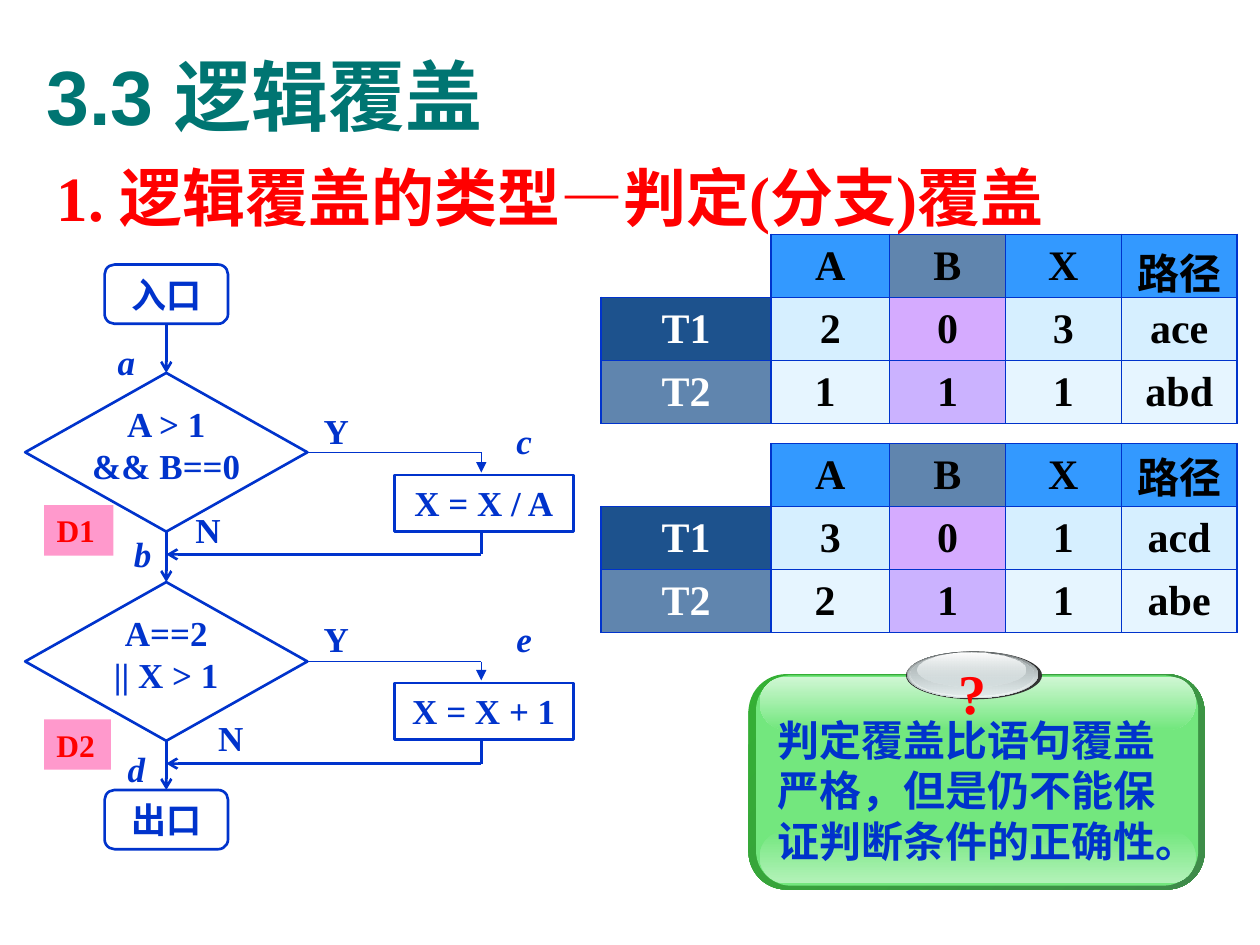
"""Builds a slide on decision coverage: flowchart, two test tables and a callout."""
from lxml import etree
from pptx import Presentation
from pptx.dml.color import RGBColor
from pptx.enum.shapes import MSO_CONNECTOR, MSO_SHAPE
from pptx.enum.text import MSO_ANCHOR, PP_ALIGN
from pptx.oxml.ns import qn
from pptx.util import Pt

PX = 9144
STRAIGHT = MSO_CONNECTOR.STRAIGHT
ROUND, OVAL, RECT = MSO_SHAPE.ROUNDED_RECTANGLE, MSO_SHAPE.OVAL, MSO_SHAPE.RECTANGLE
TERMINAL, DECISION = MSO_SHAPE.FLOWCHART_ALTERNATE_PROCESS, MSO_SHAPE.FLOWCHART_DECISION
LEFT, CENTER, RIGHT, JUSTIFY = PP_ALIGN.LEFT, PP_ALIGN.CENTER, PP_ALIGN.RIGHT, PP_ALIGN.JUSTIFY
TOP, MIDDLE = MSO_ANCHOR.TOP, MSO_ANCHOR.MIDDLE
SERIF, SANS = "Times New Roman", "Arial"
COLORS = {"teal": "007572", "red": "FF0000", "blue": "0033CC", "black": "000000",
          "white": "FFFFFF", "pink": "FF99CC", "sky": "3399FF", "navy": "1D528D",
          "ice": "CCECFF", "lilac": "CC99FF", "violet": "9966FF"}

TITLE = "3.3 逻辑覆盖"
HEADING = [("1. ", SERIF), ("逻辑覆盖的类型", SANS), ("—", SERIF), ("判定", SANS),
           ("(", SERIF), ("分支", SANS), (")", SERIF), ("覆盖", SANS)]
HEADER = ["", "A", "B", "X", "路径"]
TABLES = [
    (186, 5, [HEADER, ["T1", "2", "0", "3", "ace"], ["T2", "1 ", "1", "1", "abd"]]),
    (352, 0, [HEADER, ["T1", "3", "0", "1", "acd"], ["T2", "2 ", "1", "1", "abe"]]),
]
TABLE_LEFT, COLUMNS, ROW_HEIGHT = 477, [135, 94, 92, 92, 92], 50
SKY, STEEL, ICE, FROST = ("sky", 100), ("navy", 70), ("ice", 80), ("ice", 48)
CELL_FILLS = [[None, SKY, STEEL, SKY, SKY],
              [("navy", 100), ICE, ("lilac", 82), ICE, ICE],
              [STEEL, FROST, ("violet", 50), FROST, FROST]]

GREEN_PANEL = [
    ((594, 535, 362, 171), 0.175, [("34B034", 100), ("3F8B4A", 100)], 45),
    ((600, 536, 351, 167), 0.167, [("73E77E", 100)], 0),
    ((603, 659, 346, 42), 0.5, [("73E77E", 100), ("B3F2B9", 100)], 90),
    ((603, 537, 346, 42), 0.5, [("D0F7D4", 100), ("73E77E", 100)], 90),
]
SILVER_BUTTON = [
    ((719, 517, 108, 38), [("333333", 100)]),
    ((720, 517, 104, 37), [("636869", 100), ("D6E1E2", 100)]),
    ((721, 517, 102, 36), [("D6E1E2", 0), ("F1F5F5", 100)]),
    ((723, 518, 97, 34), [("AAB2B3", 100), ("D6E1E2", 48)]),
    ((728, 518, 86, 27), [("FFFFFF", 100), ("D6E1E2", 38)]),
]
CONCLUSION = "判定覆盖比语句覆盖严格，但是仍不能保证判断条件的正确性。"

TERMINALS = [("入口", 210), ("出口", 627)]
BRANCHES = [
    ("A > 1\n&& B==0", 296, "X = X / A", 377, 440),
    ("A==2\n|| X > 1", 462, "X = X + 1", 542, 606),
]
MAIN_X, RETURN_X = 132, 382
LABELS = [("a", 75, 265), ("b", 88, 418), ("c", 390, 328), ("d", 83, 588), ("e", 390, 485),
          ("N", 143, 399), ("N", 161, 564)]
YES_LABELS = [320, 485]
TAGS = [("D1", 401, 55), ("D2", 571, 53)]


def rgb(color):
    return RGBColor.from_string(COLORS.get(color, color))


def px(*lengths):
    return [length * PX for length in lengths]


def set_alphas(properties, alphas):
    for color, alpha in zip(properties.iter(qn("a:srgbClr")), alphas):
        if alpha < 100:
            etree.SubElement(color, qn("a:alpha"), val=str(alpha * 1000))


def write(frame, text, size, color, align=CENTER, anchor=TOP, font=SERIF, italic=False, wrap=True):
    frame.text = text
    frame.word_wrap = wrap
    frame.vertical_anchor = anchor
    for paragraph in frame.paragraphs:
        paragraph.alignment = align
        style_run(paragraph.runs[0], size, color, font, italic)


def style_run(run, size, color, font=SERIF, italic=False):
    run.font.size, run.font.name = Pt(size), font
    run.font.bold, run.font.italic = True, italic
    run.font.color.rgb = rgb(color)


def add_text(shapes, box, *args, **options):
    write(shapes.add_textbox(*px(*box)).text_frame, *args, **options)


def add_block(shapes, kind, box, stops=(), angle=90, outlined=False):
    block = shapes.add_shape(kind, *px(*box))
    block.shadow.inherit = False
    if len(stops) == 2:
        block.fill.gradient()
        block.fill.gradient_angle = 360 - angle
        for stop, (color, _) in zip(block.fill.gradient_stops, stops):
            stop.color.rgb = rgb(color)
    elif stops:
        block.fill.solid()
        block.fill.fore_color.rgb = rgb(stops[0][0])
    else:
        block.fill.background()
    set_alphas(block._element.spPr, [alpha for _, alpha in stops])
    if outlined:
        block.line.color.rgb = rgb("blue")
        block.line.width = Pt(1.5)
    else:
        block.line.fill.background()
    return block


def add_line(shapes, start, end, width=1.5, tail=None, source=None, target=None):
    line = shapes.add_connector(STRAIGHT, *px(*start, *end))
    if source:
        line.begin_connect(*source)
    if target:
        line.end_connect(*target)
    line.line.color.rgb = rgb("blue")
    line.line.width = Pt(width)
    if tail:
        etree.SubElement(line.line._get_or_add_ln(), qn("a:tailEnd"), type=tail)
    etree.SubElement(line._element.spPr, qn("a:effectLst"))


def set_borders(cell, visible):
    properties = cell._tc.get_or_add_tcPr()
    for index, side in enumerate("LRTB"):
        border = etree.Element(qn(f"a:ln{side}"), w=str(Pt(1)))
        if side in visible:
            fill = etree.SubElement(border, qn("a:solidFill"))
            etree.SubElement(fill, qn("a:srgbClr"), val=COLORS["blue"])
        else:
            etree.SubElement(border, qn("a:noFill"))
        properties.insert(index, border)


def add_test_table(shapes, top, margin, rows):
    box = (TABLE_LEFT, top, sum(COLUMNS), ROW_HEIGHT * len(rows))
    table = shapes.add_table(len(rows), len(COLUMNS), *px(*box)).table
    table.first_row = table.horz_banding = False
    for column, width in zip(table.columns, px(*COLUMNS)):
        column.width = width
    for r, (row, fills) in enumerate(zip(rows, CELL_FILLS)):
        table.rows[r].height = ROW_HEIGHT * PX
        for c, (text, fill) in enumerate(zip(row, fills)):
            cell = table.cell(r, c)
            cell.margin_top = cell.margin_bottom = margin * PX
            if fill:
                write(cell.text_frame, text, 24, "black" if c else "white")
                cell.vertical_anchor = MIDDLE
                cell.fill.solid()
                cell.fill.fore_color.rgb = rgb(fill[0])
                set_alphas(cell._tc.tcPr, [fill[1]])
            else:
                cell.fill.background()
            set_borders(cell, "LRTB" if fill else "RB")


def add_callout(shapes):
    for box, radius, stops, angle in GREEN_PANEL:
        add_block(shapes, ROUND, box, stops, angle).adjustments[0] = radius
    for box, stops in SILVER_BUTTON:
        add_block(shapes, OVAL, box, stops)
    add_text(shapes, (751, 518, 42, 63), "?", 32, "red", wrap=False)
    add_text(shapes, (607, 562, 344, 130), CONCLUSION, 24, "blue", LEFT)


def add_flowchart(shapes):
    steps = []
    for text, top in TERMINALS:
        terminal = add_block(shapes, TERMINAL, (83, top, 98, 47), outlined=True)
        write(terminal.text_frame, text, 20, "blue", anchor=MIDDLE, wrap=False)
        steps.append(terminal)
    for condition, top, action, action_top, return_y in BRANCHES:
        decision = add_block(shapes, DECISION, (20, top, 224, 126), outlined=True)
        frame = decision.text_frame
        write(frame, condition, 20, "blue", anchor=MIDDLE, wrap=False)
        frame.margin_left, frame.margin_top, frame.margin_right, frame.margin_bottom = px(2, 1, 2, 13)
        steps.insert(-1, decision)
        process = add_block(shapes, RECT, (313, action_top, 142, 45), outlined=True)
        write(process.text_frame, action, 20, "blue")
        yes_y = top + 63
        add_line(shapes, (244, yes_y), (RETURN_X, yes_y), 0.75, source=(decision, 3))
        add_line(shapes, (RETURN_X, yes_y), (RETURN_X, action_top - 2), 0.75, "triangle")
        add_line(shapes, (RETURN_X, action_top + 45), (RETURN_X, return_y))
        add_line(shapes, (RETURN_X, return_y), (MAIN_X, return_y), tail="arrow")
    for upper, lower in zip(steps, steps[1:]):
        add_line(shapes, (0, 0), (0, 0), tail="arrow", source=(upper, 2), target=(lower, 0))
    for text, left, top in LABELS:
        add_text(shapes, (left, top, 42, 43), text, 20, "blue", RIGHT, italic=text.islower())
    for top in YES_LABELS:
        add_text(shapes, (238, top, 58, 43), "Y", 20, "blue")
    for text, top, width in TAGS:
        tag = add_block(shapes, RECT, (35, top, width, 40), [("pink", 100)])
        write(tag.text_frame, text, 18, "red", LEFT)


def add_heading(shapes):
    frame = shapes.add_textbox(*px(35, 115, 921, 87)).text_frame
    frame.word_wrap = True
    heading = frame.paragraphs[0]
    heading.alignment, heading.line_spacing = JUSTIFY, 1.1
    indent = heading._p.get_or_add_pPr()
    indent.set("marL", str(67 * PX))
    indent.set("indent", str(-67 * PX))
    for text, font in HEADING:
        run = heading.add_run()
        run.text = text
        style_run(run, 36, "red", font)


def main():
    deck = Presentation()
    deck.slide_width, deck.slide_height = px(1000, 750)
    shapes = deck.slides.add_slide(deck.slide_layouts[6]).shapes
    add_text(shapes, (27, 13, 934, 125), TITLE, 44, "teal", LEFT, MIDDLE, SANS)
    add_heading(shapes)
    for top, margin, rows in TABLES:
        add_test_table(shapes, top, margin, rows)
    add_callout(shapes.add_group_shape().shapes)
    add_flowchart(shapes.add_group_shape().shapes)
    deck.save("out.pptx")


if __name__ == "__main__":
    main()
